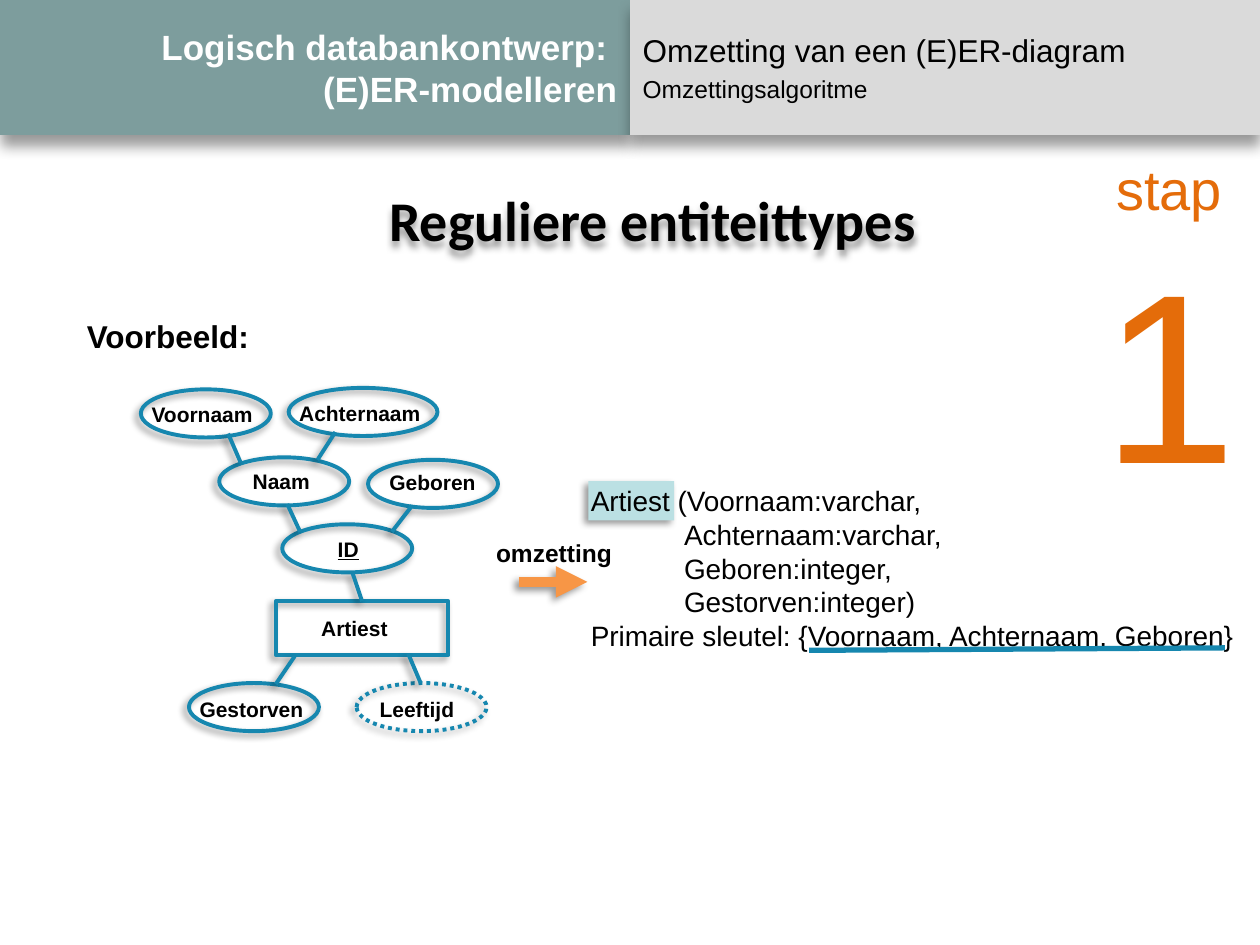
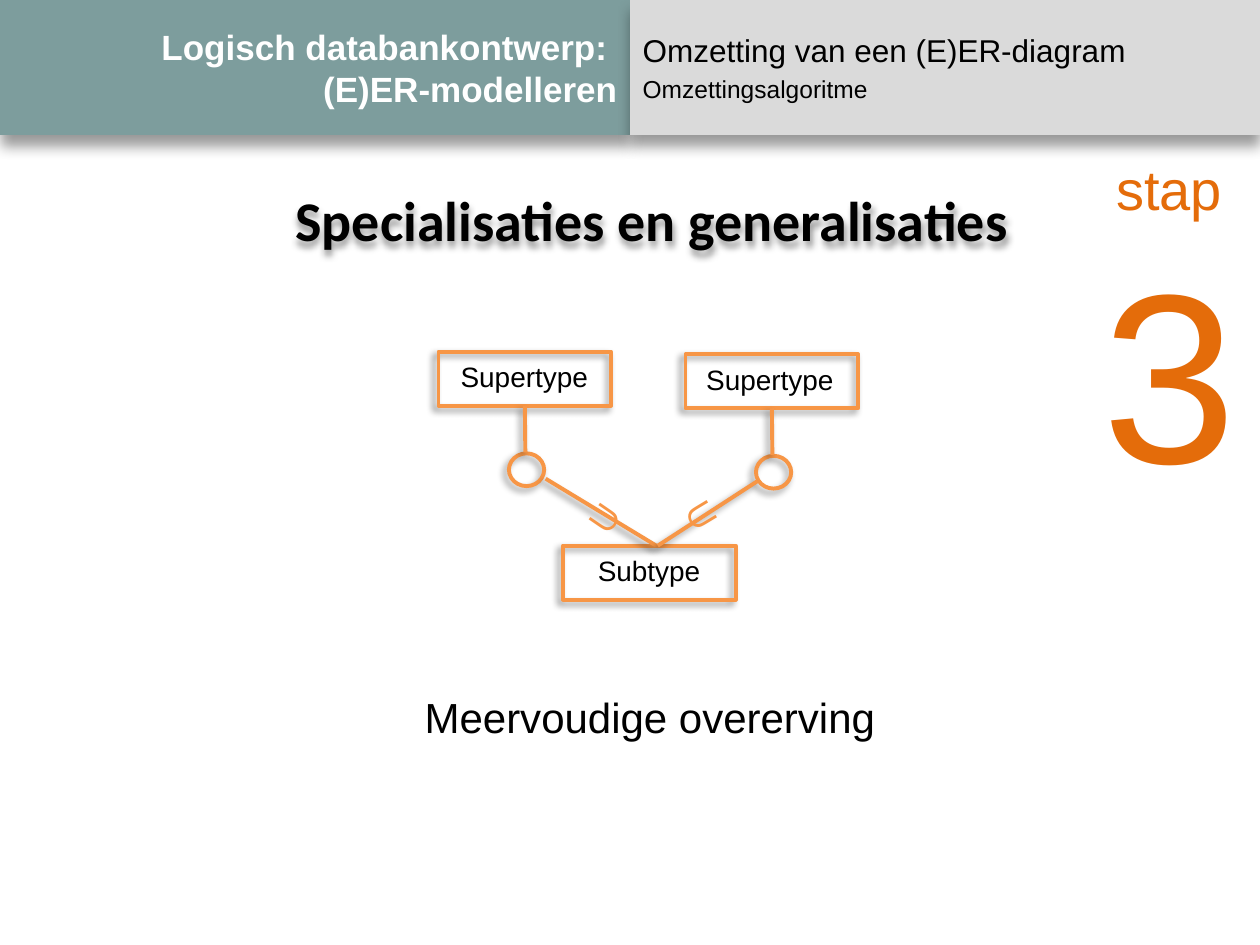
from lxml import etree
from pptx import Presentation, util as u
from pptx.dml import color
from pptx.enum import dml, shapes, text
from pptx.oxml import ns

TEAL, GREY, BLUE, AQUA = "7D9D9D", "DADADA", "1687AF", "BBE0E3"
ORANGE, STEP_ORANGE, BLACK, WHITE = "F79646", "E46C0A", "000000", "FFFFFF"
BAND_SHADOW, SOFT_SHADOW, HEADING_SHADOW = (8, 6, 90), (4, 3, 135), (4, 3, 90)
LEFT, CENTER, RIGHT = text.PP_ALIGN.LEFT, text.PP_ALIGN.CENTER, text.PP_ALIGN.RIGHT
RECTANGLE, ELLIPSE = shapes.MSO_SHAPE.RECTANGLE, shapes.MSO_SHAPE.OVAL
STRAIGHT = shapes.MSO_CONNECTOR.STRAIGHT


def style(shape, fill=None, line=None, width=2.25, shadow=SOFT_SHADOW):
    if hasattr(shape, "fill"):
        if fill:
            shape.fill.solid()
            shape.fill.fore_color.rgb = color.RGBColor.from_string(fill)
        else:
            shape.fill.background()
    if line:
        shape.line.color.rgb = color.RGBColor.from_string(line)
        shape.line.width = u.Pt(width)
    else:
        shape.line.fill.background()
    effects = etree.SubElement(shape._element.spPr, ns.qn("a:effectLst"))
    if shadow:
        blur, distance, angle = shadow
        outer = etree.SubElement(effects, ns.qn("a:outerShdw"), blurRad=str(blur * 12700),
                                 dist=str(distance * 12700), dir=str(angle * 60000),
                                 algn="ctr", rotWithShape="0")
        black = etree.SubElement(outer, ns.qn("a:srgbClr"), val=BLACK)
        etree.SubElement(black, ns.qn("a:alpha"), val="40000")


def write(shape, lines, size, ink=BLACK, align=LEFT, grow=True, **format_values):
    frame = shape.text_frame
    frame.word_wrap = not grow
    frame.auto_size = text.MSO_AUTO_SIZE.SHAPE_TO_FIT_TEXT if grow else text.MSO_AUTO_SIZE.NONE
    frame.text = "\n".join(lines)
    values = {"name": "Arial", "size": u.Pt(size), **format_values}
    for paragraph in frame.paragraphs:
        paragraph.alignment = align
        for run in paragraph.runs:
            run.font.color.rgb = color.RGBColor.from_string(ink)
            for name, value in values.items():
                setattr(run.font, name, value)
    return frame


presentation = Presentation()
presentation.slide_width, presentation.slide_height = u.Cm(25.4), u.Cm(19.05)

slides = []
for heading, heading_left, heading_width, step in [
    ("Reguliere entiteittypes", 7.52, 11.28, "1"),
    ("Specialisaties en generalisaties", 5.64, 15.01, "3"),
]:
    slide = presentation.slides.add_slide(presentation.slide_layouts[1])
    slides.append(slide)
    title, topic = slide.placeholders
    for band, left, fill in [(title, 0, TEAL), (topic, 12.7, GREY)]:
        band.left, band.top = u.Cm(left), u.Cm(0)
        band.width, band.height = u.Cm(12.7), u.Cm(2.72)
        style(band, fill, shadow=BAND_SHADOW)
        band.text_frame.vertical_anchor = text.MSO_ANCHOR.MIDDLE
    write(title, ["Logisch databankontwerp: \v(E)ER-modelleren"], 20, WHITE, RIGHT,
          grow=False, bold=True)
    frame = write(topic, ["Omzetting van een (E)ER-diagram", "Omzettingsalgoritme"], 18, grow=False)
    for paragraph, space in zip(frame.paragraphs, (0, 3)):
        paragraph.space_before = u.Pt(space)
        properties = paragraph._p.get_or_add_pPr()
        properties.set("marL", "0")
        properties.set("indent", "0")
        etree.SubElement(properties, ns.qn("a:buNone"))
    frame.paragraphs[1].runs[0].font.size = u.Pt(14)

    step_box = slide.shapes.add_textbox(u.Cm(21.92), u.Cm(3), u.Cm(3.3), u.Cm(7.52))
    frame = write(step_box, ["stap", step], 32, STEP_ORANGE, CENTER)
    frame.paragraphs[1].runs[0].font.size = u.Pt(138)

    heading_box = slide.shapes.add_textbox(u.Cm(heading_left), u.Cm(3.61),
                                           u.Cm(heading_width), u.Cm(1.63))
    style(heading_box, shadow=HEADING_SHADOW)
    write(heading_box, [heading], 32, align=CENTER, name="Calibri", bold=True)

entity_slide, inheritance_slide = slides

example = entity_slide.shapes.add_textbox(u.Cm(1.5), u.Cm(6.27), u.Cm(3.81), u.Cm(1.02))
write(example, ["Voorbeeld:"], 18, bold=True)

highlight = entity_slide.shapes.add_shape(RECTANGLE, u.Cm(11.86), u.Cm(9.7), u.Cm(1.73), u.Cm(0.79))
style(highlight, AQUA)

arrow = entity_slide.shapes.add_connector(STRAIGHT, u.Cm(10.46), u.Cm(11.73), u.Cm(11.84), u.Cm(11.73))
style(arrow, line=ORANGE, width=6)
etree.SubElement(arrow._element.spPr.find(ns.qn("a:ln")), ns.qn("a:tailEnd"), type="triangle")
arrow_label = entity_slide.shapes.add_textbox(u.Cm(9.75), u.Cm(10.72), u.Cm(2.87), u.Cm(0.86))
write(arrow_label, ["omzetting"], 14, bold=True)

relation = entity_slide.shapes.add_textbox(u.Cm(11.66), u.Cm(9.63), u.Cm(13.79), u.Cm(3.68))
frame = write(relation, [
    "Artiest (Voornaam:varchar,",
    "Achternaam:varchar,",
    "Geboren:integer,",
    "Gestorven:integer)",
    "Primaire sleutel: {Voornaam, Achternaam, Geboren}",
], 16)
for paragraph in frame.paragraphs[1:4]:
    paragraph._p.get_or_add_pPr().set("marL", str(u.Cm(1.88)))

key_underline = entity_slide.shapes.add_connector(STRAIGHT, u.Cm(16.31), u.Cm(13.11),
                                                  u.Cm(24.69), u.Cm(13.06))
style(key_underline, line=BLUE, width=3, shadow=None)

diagram = entity_slide.shapes.add_group_shape().shapes
nodes = {}
for name, kind, left, top, width, height, label_left, label_top, label_width in [
    ("Artiest", RECTANGLE, 5.56, 12.12, 3.48, 1.09, 6.22, 12.29, 1.85),
    ("Naam", ELLIPSE, 4.42, 9.22, 2.62, 0.97, 4.83, 9.32, 1.68),
    ("Voornaam", ELLIPSE, 2.84, 7.85, 2.62, 0.97, 2.79, 7.98, 2.57),
    ("Achternaam", ELLIPSE, 5.82, 7.82, 3, 0.97, 5.77, 7.95, 2.97),
    ("Geboren", ELLIPSE, 7.42, 9.27, 2.62, 0.97, 7.59, 9.35, 2.26),
    ("Gestorven", ELLIPSE, 3.81, 13.77, 2.62, 0.97, 3.76, 13.92, 2.62),
    ("Leeftijd", ELLIPSE, 7.19, 13.77, 2.62, 0.97, 7.39, 13.92, 2.03),
    ("ID", ELLIPSE, 5.69, 10.57, 2.62, 0.97, 6.55, 10.69, 0.94),
]:
    label = diagram.add_textbox(u.Cm(label_left), u.Cm(label_top), u.Cm(label_width), u.Cm(0.76))
    write(label, [name], 12, align=CENTER, bold=True, underline=name == "ID")
    nodes[name] = diagram.add_shape(kind, u.Cm(left), u.Cm(top), u.Cm(width), u.Cm(height))
    style(nodes[name], line=BLUE)
nodes["Leeftijd"].line.dash_style = dml.MSO_LINE.ROUND_DOT

for ends in [
    (6.05, 10.72, 5.79, 10.16),
    (4.85, 9.32, 4.6, 8.74),
    (6.4, 9.27, 6.76, 8.71),
    (7.9, 10.72, 8.31, 10.19),
    (8.48, 13.77, 8.23, 13.18),
    (5.56, 13.79, 5.94, 13.23),
    (7.11, 11.56, 7.3, 12.12),
]:
    link = diagram.add_connector(STRAIGHT, *map(u.Cm, ends))
    style(link, line=BLUE)
link.end_connect(nodes["Artiest"], 0)

caption = inheritance_slide.shapes.add_textbox(u.Cm(8.31), u.Cm(13.82), u.Cm(9.7), u.Cm(1.27))
write(caption, ["Meervoudige overerving"], 24)

type_boxes = []
for name, left, top, label_left, label_width in [
    ("Subtype", 11.35, 11, 11.79, 2.59),
    ("Supertype", 8.84, 7.09, 9.02, 3.1),
    ("Supertype", 13.82, 7.14, 13.97, 3.1),
]:
    label = inheritance_slide.shapes.add_textbox(u.Cm(label_left), u.Cm(top + 0.04),
                                                 u.Cm(label_width), u.Cm(0.94))
    write(label, [name], 16, align=CENTER)
    box = inheritance_slide.shapes.add_shape(RECTANGLE, u.Cm(left), u.Cm(top), u.Cm(3.48), u.Cm(1.09))
    style(box, line=ORANGE)
    type_boxes.append(box)

for supertype, branch, symbol_left, angle in [
    (type_boxes[1], (11, 9.65, 13.23, 11), 11.58, 304.4),
    (type_boxes[2], (15.27, 9.7, 13.26, 11), 13.64, 58.9),
]:
    left, top = supertype.left, supertype.top
    circle = inheritance_slide.shapes.add_shape(ELLIPSE, left + u.Cm(1.42), top + u.Cm(2.05),
                                                u.Cm(0.71), u.Cm(0.66))
    style(circle, line=ORANGE)
    stem = inheritance_slide.shapes.add_connector(STRAIGHT, left + u.Cm(1.75), top + u.Cm(2.03),
                                                  left + u.Cm(1.74), top + u.Cm(1.09))
    style(stem, line=ORANGE)
    stem.end_connect(supertype, 2)
    slope = inheritance_slide.shapes.add_connector(STRAIGHT, *map(u.Cm, branch))
    style(slope, line=ORANGE)
    subset = inheritance_slide.shapes.add_textbox(u.Cm(symbol_left), u.Cm(9.75), u.Cm(1.17), u.Cm(1.27))
    write(subset, ["∪"], 24, ORANGE, bold=True)
    subset.rotation = angle

presentation.save("out.pptx")
